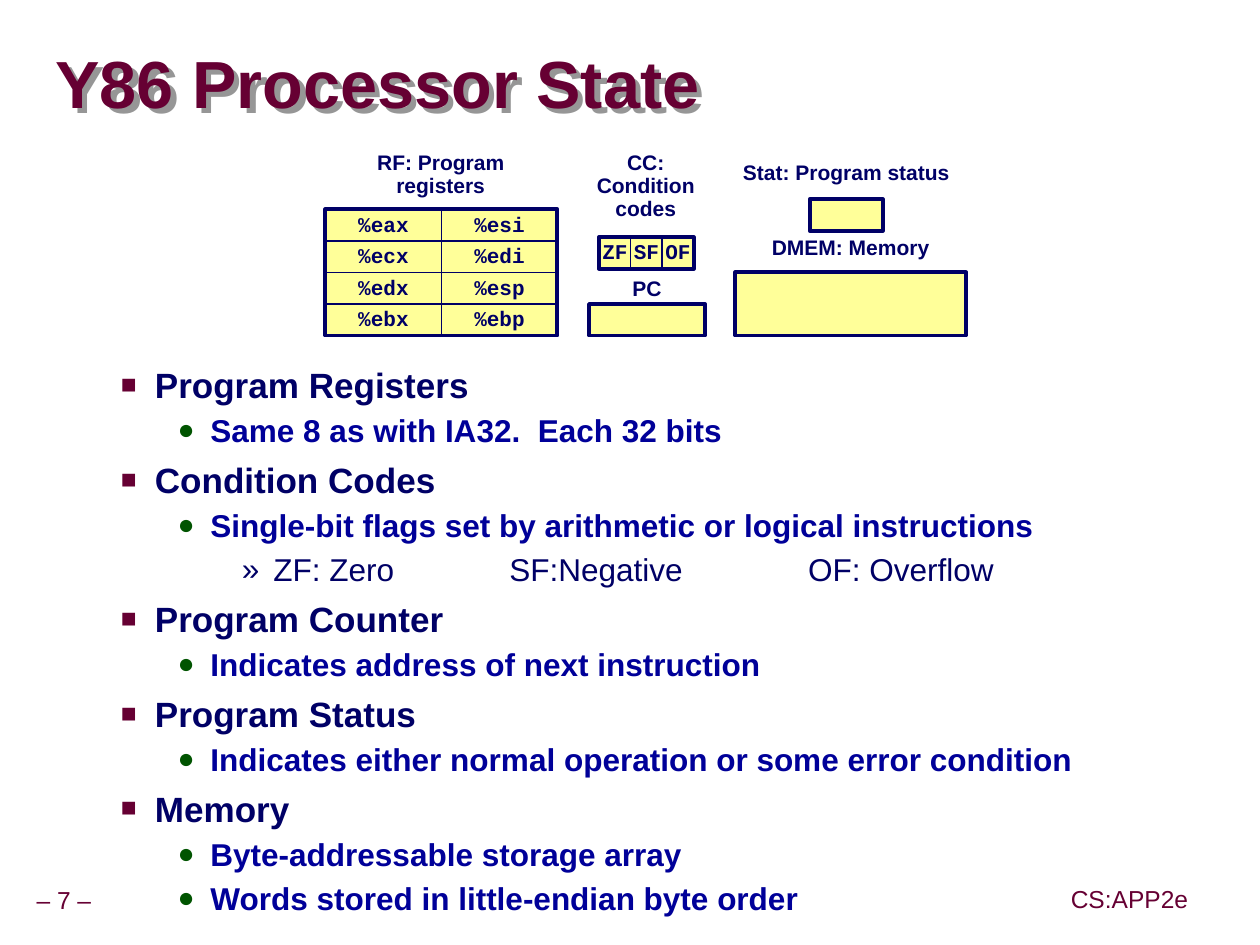
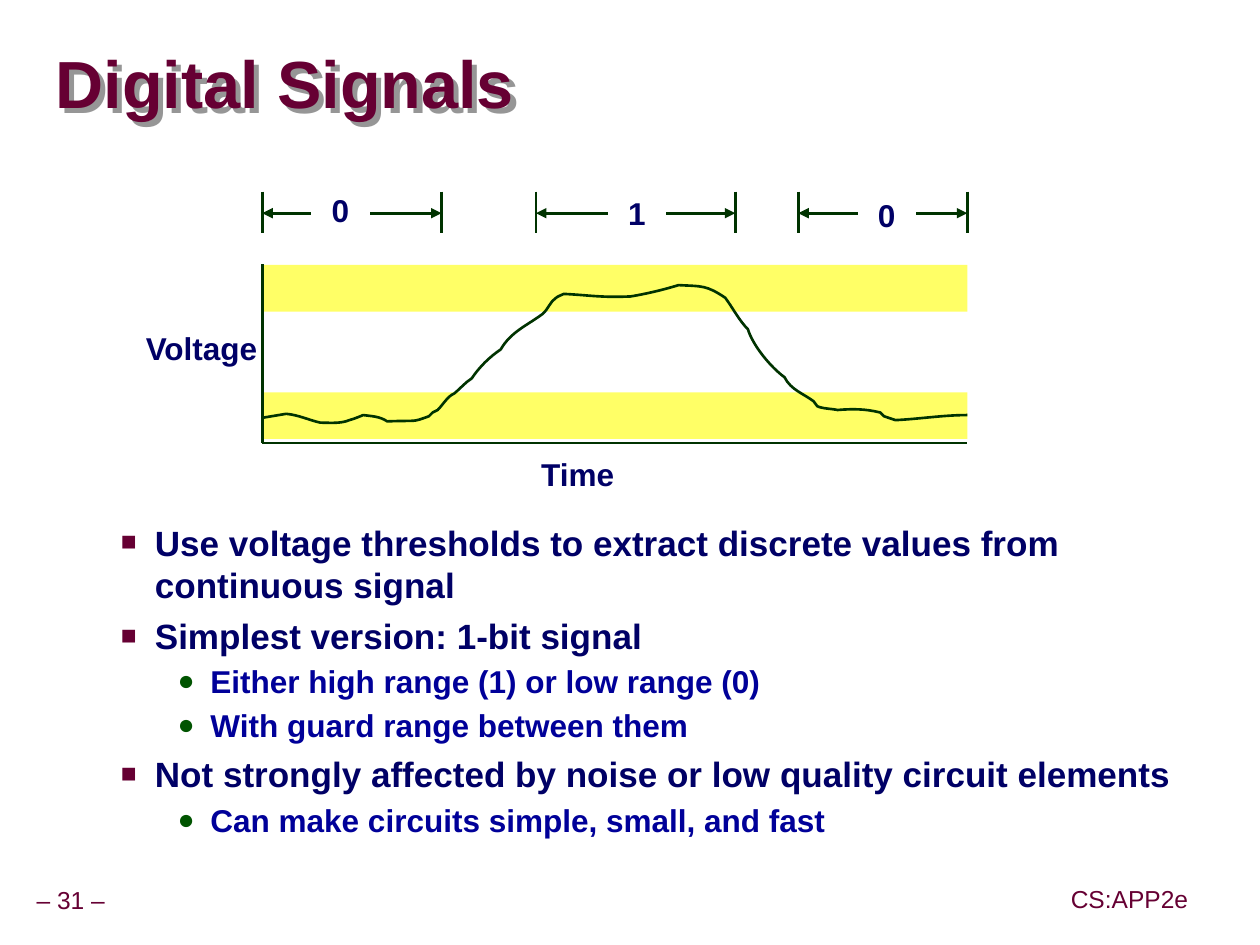
from dataclasses import dataclass

from lxml import etree
from pptx import Presentation
from pptx.dml.color import RGBColor
from pptx.enum import shapes, text
from pptx.oxml.ns import qn
from pptx.util import Emu, Pt

PX = 9144  # one px is a hundredth of an inch


@dataclass(frozen=True)
class Theme:
    sans: str = "Arial"
    mono: str = "Courier New"
    wine: str = "660033"
    navy: str = "000066"
    blue: str = "000099"
    green: str = "005400"
    ink: str = "003300"
    grey: str = "969696"
    white: str = "FFFFFF"
    cell: str = "FFFF99"
    band: str = "FFFF66"
    title: int = 38
    head: int = 20
    body: int = 18
    foot: int = 14
    label: int = 12
    thick: float = 2.25
    mid: float = 1.5
    thin: float = 1


T = Theme()
LEFT, MID, RIGHT = text.PP_ALIGN.LEFT, text.PP_ALIGN.CENTER, text.PP_ALIGN.RIGHT
TOP, CENTER = text.MSO_ANCHOR.TOP, text.MSO_ANCHOR.MIDDLE

# Bullet levels: indent, hang, line spacing, space before, size, colour, bold, mark
LEVELS = {
    1: (81, 27, 1.0, 5.2, T.head, T.navy, True, ("■", T.wine, 75)),
    2: (125, 26, 1.07, 1.8, T.body, T.blue, True, ("●", T.green, 90)),
    3: (175, 25, 1.0, 3.8, T.body, T.navy, False, ("»", T.navy, 100)),
}
STOPS = (362, 506, 599)

# Content of the processor slide
STATE = [
    (1, "Program Registers"),
    (2, "Same 8 as with IA32.  Each 32 bits"),
    (1, "Condition Codes"),
    (2, "Single-bit flags set by arithmetic or logical instructions"),
    (3, "ZF: Zero\tSF:Negative\t\tOF: Overflow"),
    (1, "Program Counter"),
    (2, "Indicates address of next instruction"),
    (1, "Program Status"),
    (2, "Indicates either normal operation or some error condition"),
    (1, "Memory"),
    (2, "Byte-addressable storage array"),
    (2, "Words stored in little-endian byte order"),
]
REGS = [("%eax", "%esi"), ("%ecx", "%edi"), ("%edx", "%esp"), ("%ebx", "%ebp")]
FLAGS = [("ZF", "SF", "OF")]
STORES = [(467, 241, 92, 25), (583, 216, 183, 50), (642, 158, 58, 25)]
LABELS = [
    ("RF: Program registers", (258, 116, 183, 50)),
    ("CC: Condition codes", (458, 116, 108, 65)),
    ("PC", (467, 216, 92, 30)),
    ("DMEM: Memory", (583, 183, 183, 30)),
    ("Stat: Program status", (567, 124, 208, 30)),
]

# Content of the signal slide
SIGNAL = [
    (1, "Use voltage thresholds to extract discrete values from continuous signal"),
    (1, "Simplest version: 1-bit signal"),
    (2, "Either high range (1) or low range (0)"),
    (2, "With guard range between them"),
    (1, "Not strongly affected by noise or low quality circuit elements"),
    (2, "Can make circuits simple, small, and fast"),
]
X0, X1, BASE = 208, 767, 351
BANDS = (210, 311)
SPANS = [  # bit, from, to, label left, label top
    ("0", 208, 350, 248, 150),
    ("1", 425, 583, 483, 152),
    ("0", 633, 767, 681, 154),
]
AXES = [
    ("Voltage", (61, 259, 148, 37), RIGHT),
    ("Time", (414, 359, 88, 37), MID),
]
START = (209, 331)
WAVE = [  # two control points and an end point for each curve
    (215, 330, 221, 329, 227, 328), (237, 329, 245, 333, 254, 335),
    (261, 335, 270, 336, 277, 333), (281, 332, 288, 329, 288, 329),
    (295, 330, 301, 330, 307, 334), (332, 333, 326, 335, 340, 330),
    (341, 329, 341, 328, 343, 327), (344, 326, 346, 326, 347, 325),
    (351, 321, 355, 314, 360, 312), (365, 308, 369, 303, 374, 300),
    (380, 291, 388, 283, 397, 277), (405, 263, 418, 258, 430, 249),
    (435, 245, 436, 239, 441, 236), (442, 235, 445, 234, 447, 233),
    (468, 234, 476, 236, 500, 235), (512, 233, 525, 230, 538, 226),
    (557, 227, 560, 226, 575, 236), (581, 244, 586, 254, 593, 261),
    (597, 274, 611, 291, 622, 299), (627, 309, 637, 312, 645, 318),
    (646, 319, 647, 321, 648, 322), (652, 324, 660, 324, 664, 325),
    (676, 324, 686, 324, 698, 327), (699, 328, 700, 329, 701, 330),
    (704, 331, 710, 333, 710, 333), (730, 332, 748, 329, 767, 329),
]


def emu(*vals):
    return [Emu(v * PX) for v in vals]


def rgb(hue):
    return RGBColor.from_string(hue)


def sub(node, tag, **attrs):
    return etree.SubElement(node, qn(tag), {k: str(v) for k, v in attrs.items()})


def frame(shape, inset, anchor):
    tf = shape.text_frame
    tf.word_wrap = True
    tf.vertical_anchor = anchor
    tf.margin_left, tf.margin_top, tf.margin_right, tf.margin_bottom = emu(*inset)
    return tf


def put(par, words, size, hue, bold=True, face=T.sans):
    run = par.add_run()
    run.text = words
    font = run.font
    font.name, font.size, font.bold = face, Pt(size), bold
    font.color.rgb = rgb(hue)


def write(shape, words, size, hue=T.navy, align=MID, anchor=TOP,
          inset=(5, 5, 5, 5), gap=0.9, **style):
    par = frame(shape, inset, anchor).paragraphs[0]
    par.alignment, par.line_spacing = align, gap
    put(par, words, size, hue, **style)


def label(slide, box, words, size, **style):
    shape = slide.shapes.add_textbox(*emu(*box))
    write(shape, words, size, **style)
    return shape


def rect(slide, box, fill=None, line=None, width=T.thin):
    shape = slide.shapes.add_shape(shapes.MSO_SHAPE.RECTANGLE, *emu(*box))
    shape.shadow.inherit = False
    if fill:
        shape.fill.solid()
        shape.fill.fore_color.rgb = rgb(fill)
    else:
        shape.fill.background()
    if line:
        shape.line.color.rgb = rgb(line)
        shape.line.width = Pt(width)
    else:
        shape.line.fill.background()
    return shape


def rule(slide, x, y, xe, ye, heads=False):
    line = slide.shapes.add_connector(shapes.MSO_CONNECTOR.STRAIGHT, *emu(x, y, xe, ye))
    line.line.color.rgb = rgb(T.ink)
    line.line.width = Pt(T.mid)
    if heads:
        for tag in ("a:headEnd", "a:tailEnd"):
            sub(line.line._get_or_add_ln(), tag, type="triangle")
    sub(line._element.spPr, "a:effectLst")


def bullets(slide, top, items):
    box = slide.shapes.add_textbox(*emu(32, top, 907, 703 - top))
    tf = frame(box, (10, 5, 10, 5), TOP)
    for i, (level, words) in enumerate(items):
        left, hang, gap, before, size, hue, bold, (mark, tint, scale) = LEVELS[level]
        par = tf.add_paragraph() if i else tf.paragraphs[0]
        props = par._p.get_or_add_pPr()
        props.set("marL", str(left * PX))
        props.set("indent", str(-hang * PX))
        sub(sub(props, "a:buClr"), "a:srgbClr", val=tint)
        sub(props, "a:buSzPct", val=scale * 1000)
        sub(props, "a:buFont", typeface=T.sans)
        sub(props, "a:buChar", char=mark)
        if "\t" in words:
            tabs = sub(props, "a:tabLst")
            for stop in STOPS:
                sub(tabs, "a:tab", pos=stop * PX, algn="l")
        par.line_spacing = gap
        par.space_before = Pt(before if i else 0)
        put(par, words, size, hue, bold)


def page(deck, title, number):
    slide = deck.slides.add_slide(deck.slide_layouts[6])
    # Footers
    for x, y, words in ((24, 699, f"– {number} –"), (844, 698, "CS:APP2e")):
        label(slide, (x, y, 120, 31), words, T.foot, hue=T.wine, align=LEFT,
              anchor=CENTER, bold=False)
    # Title with a hard shadow
    head = label(slide, (44, 27, 952, 85), title, T.title, hue=T.wine, align=LEFT,
                 anchor=CENTER, inset=(0, 0, 0, 0), gap=0.87)
    cast = sub(sub(head._element.spPr, "a:effectLst"), "a:outerShdw", blurRad=0,
               dist=53880, dir=2700000, algn="ctr", rotWithShape=0)
    sub(cast, "a:srgbClr", val=T.grey)
    return slide


def grid(slide, x, y, w, h, rows):
    rect(slide, (x, y, w * len(rows[0]), h * len(rows)), T.cell, T.navy, T.thick)
    for r, row in enumerate(rows):
        for c, name in enumerate(row):
            cell = rect(slide, (x + c * w, y + r * h, w, h), line=T.navy)
            write(cell, name, T.label, anchor=CENTER, inset=(0, 0, 0, 0), face=T.mono)


def processor(deck):
    slide = page(deck, "Y86 Processor State", 7)
    bullets(slide, 283, STATE)
    grid(slide, 258, 166, 92, 25, REGS)
    grid(slide, 475, 188, 25, 25, FLAGS)
    for box in STORES:
        rect(slide, box, T.cell, T.navy, T.thick)
    for words, box in LABELS:
        label(slide, box, words, T.label, inset=(10, 5, 10, 5))


def wave(slide):
    pen = slide.shapes.build_freeform(*START, scale=PX)
    pen.add_line_segments([part[4:] for part in WAVE], close=False)
    curve = pen.convert_to_shape()
    curve.shadow.inherit = False
    curve.fill.background()
    curve.line.color.rgb = rgb(T.ink)
    curve.line.width = Pt(T.mid)
    # Bend each segment; the outline counts px from the shape's corner
    left, top = round(curve.left / PX), round(curve.top / PX)
    segs = list(curve._element.iter(qn("a:lnTo")))
    for seg, part in zip(segs, WAVE):
        bend = etree.Element(qn("a:cubicBezTo"))
        for x, y in zip(part[::2], part[1::2]):
            sub(bend, "a:pt", x=x - left, y=y - top)
        seg.getparent().replace(seg, bend)


def signals(deck):
    slide = page(deck, "Digital Signals", 31)
    bullets(slide, 408, SIGNAL)
    # Voltage ranges, axes and curve
    for y in BANDS:
        rect(slide, (X0, y, X1 - X0, 37), T.band)
    rule(slide, X0, BASE, X0, 209)
    rule(slide, X0, BASE, X1, BASE)
    for words, box, align in AXES:
        label(slide, box, words, T.body, align=align)
    wave(slide)
    # Bit spans
    for bit, x, xe, left, top in SPANS:
        for tick in (x, xe):
            rule(slide, tick, 152, tick, 185)
        rule(slide, x, 169, xe, 169, heads=True)
        write(rect(slide, (left, top, 44, 39), T.white, T.white, T.mid), bit, T.body)


def main():
    deck = Presentation()
    deck.slide_width, deck.slide_height = emu(999, 749)
    processor(deck)
    signals(deck)
    deck.save("out.pptx")


if __name__ == "__main__":
    main()
